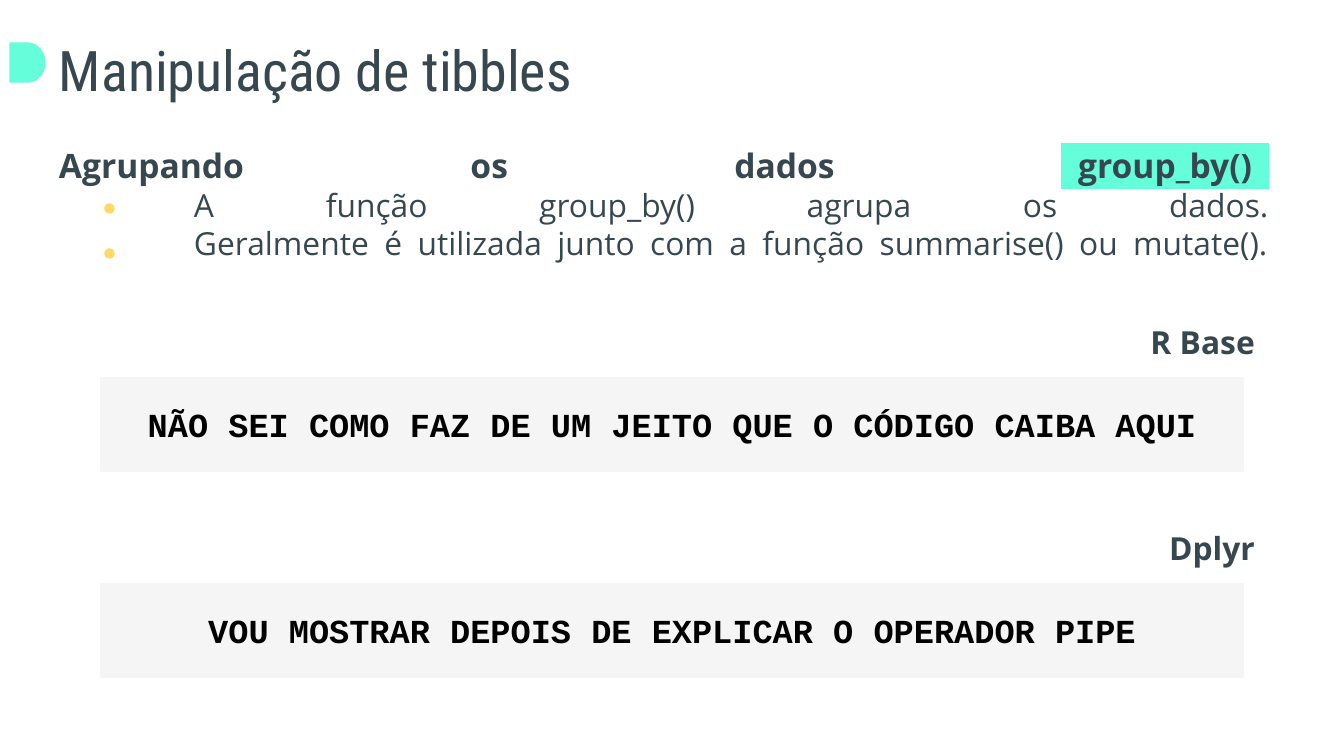
from lxml import etree
from pptx import Presentation
from pptx.dml.color import RGBColor
from pptx.enum.shapes import MSO_SHAPE
from pptx.enum.text import MSO_ANCHOR, MSO_AUTO_SIZE, PP_ALIGN
from pptx.oxml.ns import qn
from pptx.util import Pt

EMU_PER_PIXEL = 914400 / 134.4
LEFT, CENTER, RIGHT, JUSTIFY = PP_ALIGN.LEFT, PP_ALIGN.CENTER, PP_ALIGN.RIGHT, PP_ALIGN.JUSTIFY
TOP, MIDDLE, NO_FIT = MSO_ANCHOR.TOP, MSO_ANCHOR.MIDDLE, MSO_AUTO_SIZE.NONE
RECTANGLE, ELLIPSE, DELAY = MSO_SHAPE.RECTANGLE, MSO_SHAPE.OVAL, MSO_SHAPE.FLOWCHART_DELAY
SLATE, MINT, YELLOW, GREY, BLACK = "37474F", "64FFDA", "FFD966", "F5F5F5", "000000"
TITLE_FONT, BODY_FONT, CODE_FONT = "Roboto Condensed", "Open Sans", "Courier New"


def px(pixels):
    """Turn picture pixels into EMU."""
    return round(pixels * EMU_PER_PIXEL)


def rgb(value):
    """Turn a hex string into a colour."""
    return RGBColor.from_string(value)


class SlideBuilder:
    """Hold the style and the current slide, and add elements to it."""

    def __init__(self, presentation):
        """Start a title and content slide."""
        self.slide = presentation.slides.add_slide(presentation.slide_layouts[1])
        self.inset = px(13)

    def style(self, font, name, size, color, bold=False):
        """Set the look of a font."""
        font.name, font.size, font.bold = name, Pt(size), bold
        font.color.rgb = rgb(color)

    def frame(self, shape, anchor):
        """Set the insets and anchor of a text frame."""
        text_frame = shape.text_frame
        text_frame.word_wrap = True
        text_frame.auto_size = NO_FIT
        text_frame.vertical_anchor = anchor
        text_frame.margin_left = text_frame.margin_right = self.inset
        text_frame.margin_top = text_frame.margin_bottom = self.inset
        return text_frame

    def placeholder(self, index, left, top, width, height):
        """Move a placeholder and return its first paragraph."""
        shape = self.slide.placeholders[index]
        shape.left, shape.top, shape.width, shape.height = map(px, (left, top, width, height))
        return self.frame(shape, TOP).paragraphs[0]

    def hang(self, paragraph, indent):
        """Indent every line but the first, without bullet."""
        properties = paragraph._p.get_or_add_pPr()
        properties.set("marL", str(px(indent)))
        properties.set("indent", str(-px(indent)))
        etree.SubElement(properties, qn("a:buNone"))

    def run(self, paragraph, text, size, bold=False, highlight=None):
        """Add a body run, optionally highlighted."""
        run = paragraph.add_run()
        run.text = text
        self.style(run.font, BODY_FONT, size, SLATE, bold)
        if highlight:
            mark = etree.Element(qn("a:highlight"))
            etree.SubElement(mark, qn("a:srgbClr"), val=highlight)
            run._r.rPr.find(qn("a:solidFill")).addnext(mark)

    def shape(self, kind, color, left, top, width, height):
        """Add a preset shape in one colour."""
        shape = self.slide.shapes.add_shape(kind, *map(px, (left, top, width, height)))
        shape.shadow.inherit = False
        shape.fill.solid()
        shape.fill.fore_color.rgb = rgb(color)
        shape.line.color.rgb = rgb(color)
        shape.line.width = Pt(0.75)
        return shape

    def label(self, text, top):
        """Add a right-aligned label."""
        box = self.slide.shapes.add_textbox(*map(px, (1008, top, 260, 69)))
        paragraph = self.frame(box, TOP).paragraphs[0]
        paragraph.text = text
        paragraph.alignment = RIGHT
        self.style(paragraph.font, BODY_FONT, 17, SLATE, True)

    def code(self, text, top):
        """Add a grey code panel."""
        panel = self.shape(RECTANGLE, GREY, 101, top, 1142, 93)
        paragraph = self.frame(panel, MIDDLE).paragraphs[0]
        paragraph.text = text
        paragraph.alignment = CENTER
        self.style(paragraph.font, CODE_FONT, 18, BLACK, True)


presentation = Presentation()
presentation.slide_width, presentation.slide_height = px(1344), px(756)
builder = SlideBuilder(presentation)

title = builder.placeholder(0, 46, 22, 1253, 85)
title.text = "Manipulação de tibbles"
title.alignment = LEFT
builder.style(title.font, TITLE_FONT, 30, SLATE)

topic = builder.placeholder(1, 46, 132, 1236, 180)
topic.alignment = JUSTIFY
topic.line_spacing = 1.0
topic.space_before = Pt(0)
builder.hang(topic, 135)
builder.run(topic, "Agrupando os dados ", 18, True)
builder.run(topic, "\u2002group_by()\u2002", 18, True, MINT)
topic.add_line_break()
for item in (
    "A função group_by() agrupa os dados.",
    "Geralmente é utilizada junto com a função summarise() ou mutate().",
):
    builder.run(topic, item, 17)
    topic.add_line_break()

builder.shape(DELAY, MINT, 10, 43, 35, 39)
for top in (204, 249):
    builder.shape(ELLIPSE, YELLOW, 105, top, 9, 9)

for heading, code, top in (
    ("R Base", "NÃO SEI COMO FAZ DE UM JEITO QUE O CÓDIGO CAIBA AQUI", 378),
    ("Dplyr", "VOU MOSTRAR DEPOIS DE EXPLICAR O OPERADOR PIPE", 584),
):
    builder.label(heading, top - 68)
    builder.code(code, top)

presentation.save("out.pptx")
